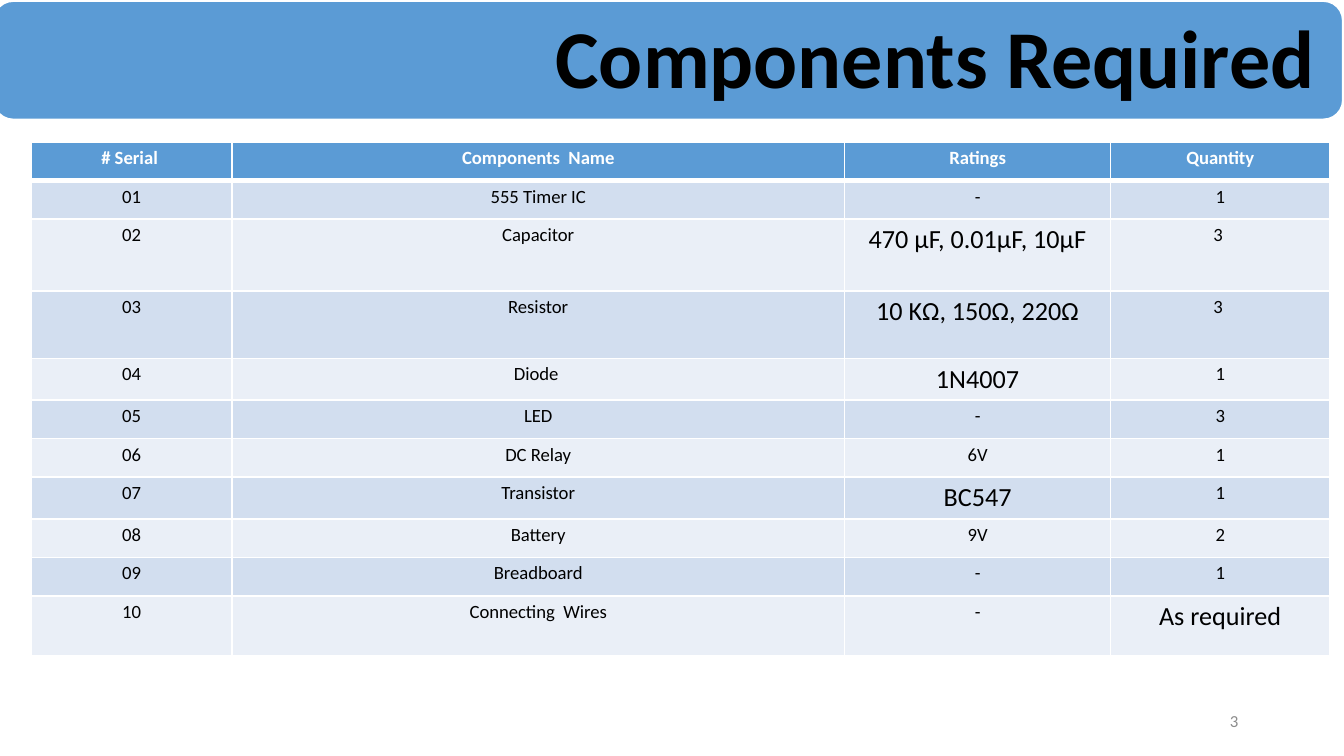
from lxml import etree
from pptx import Presentation
from pptx import util as u
from pptx.dml.color import RGBColor
from pptx.enum import shapes, text
from pptx.oxml import ns

BLUE = RGBColor(0x5B, 0x9B, 0xD5)
BAND_DARK = RGBColor(0xD2, 0xDE, 0xEF)
BAND_LIGHT = RGBColor(0xEA, 0xEF, 0xF7)
WHITE = RGBColor(0xFF, 0xFF, 0xFF)
BLACK = RGBColor(0, 0, 0)
GREY = RGBColor(0x8C, 0x8C, 0x8C)

HEADINGS = ("# Serial ", "Components  Name", "Ratings", "Quantity")
COMPONENTS = (
    ("555 Timer IC", "-", "1"),
    ("Capacitor", "470 µF, 0.01µF, 10µF", "3 "),
    ("Resistor", "10 KΩ, 150Ω, 220Ω", "3 "),
    ("Diode ", "1N4007", "1"),
    ("LED", "-", "3"),
    ("DC Relay", "6V", "1"),
    ("Transistor", "BC547", "1"),
    ("Battery", "9V", "2"),
    ("Breadboard", "-", "1"),
    ("Connecting  Wires", "-", "As required"),
)
COLUMN_WIDTHS = (107.28, 328.32, 142.56, 117.36)
ROW_HEIGHT = 20.6
TALL_ROWS = {2: 38.3, 3: 36.2, 4: 22.5, 7: 22.5, 10: 32.1}
LARGE_ENTRIES = {"470 µF, 0.01µF, 10µF", "10 KΩ, 150Ω, 220Ω", "1N4007", "BC547", "As required"}


class SlideBuilder:
    font = "Calibri"

    def __init__(self, slide):
        self.slide = slide

    def add_words(self, frame, words, size, color, align, bold=False):
        paragraph = frame.paragraphs[0]
        paragraph.alignment = align
        run = paragraph.add_run()
        run.text = words
        run.font.name = self.font
        run.font.size = u.Pt(size)
        run.font.bold = bold
        run.font.color.rgb = color

    def label(self, box, words, size, color, anchor, bold=False):
        frame = self.slide.shapes.add_textbox(*map(u.Pt, box)).text_frame
        frame.word_wrap = True
        frame.vertical_anchor = anchor
        self.add_words(frame, words, size, color, text.PP_ALIGN.RIGHT, bold)

    def banner(self, box):
        banner = self.slide.shapes.add_shape(
            shapes.MSO_SHAPE.ROUNDED_RECTANGLE, *map(u.Pt, box))
        banner.shadow.inherit = False
        banner.fill.solid()
        banner.fill.fore_color.rgb = BLUE
        banner.line.color.rgb = WHITE
        banner.line.width = u.Pt(1.5)

    def borders(self, cell, top, bottom):
        properties = cell._tc.get_or_add_tcPr()
        edges = (("L", 1), ("R", 1), ("T", top), ("B", bottom))
        for position, (side, width) in enumerate(edges):
            edge = etree.Element(ns.qn(f"a:ln{side}"), w=str(u.Pt(width)))
            fill = etree.SubElement(edge, ns.qn("a:solidFill"))
            etree.SubElement(fill, ns.qn("a:srgbClr"), val=str(WHITE))
            properties.insert(position, edge)

    def cell(self, cell, words, row):
        header = row == 0
        cell.margin_left = cell.margin_right = u.Pt(5.1)
        cell.margin_top = cell.margin_bottom = u.Pt(2.6)
        cell.fill.solid()
        cell.fill.fore_color.rgb = BLUE if header else BAND_DARK if row % 2 else BAND_LIGHT
        self.borders(cell, 3 if row == 1 else 1, 3 if header else 1)
        self.add_words(cell.text_frame, words, 14 if words in LARGE_ENTRIES else 10,
                       WHITE if header else BLACK, text.PP_ALIGN.CENTER, header)

    def table(self, left, top, rows):
        heights = [TALL_ROWS.get(row, ROW_HEIGHT) for row in range(len(rows))]
        table = self.slide.shapes.add_table(
            len(rows), len(COLUMN_WIDTHS), u.Pt(left), u.Pt(top),
            u.Pt(sum(COLUMN_WIDTHS)), u.Pt(sum(heights))).table
        for column, width in zip(table.columns, COLUMN_WIDTHS):
            column.width = u.Pt(width)
        for row, (entries, height) in enumerate(zip(rows, heights)):
            table.rows[row].height = u.Pt(height)
            for column, words in enumerate(entries):
                self.cell(table.cell(row, column), words, row)


def main():
    deck = Presentation()
    deck.slide_width, deck.slide_height = u.Pt(720), u.Pt(405)
    builder = SlideBuilder(deck.slides.add_slide(deck.slide_layouts[6]))
    builder.label((508.5, 375.4, 162, 21.6), "3", 9, GREY, text.MSO_ANCHOR.MIDDLE)
    numbered = [(f"{serial:02}", *component)
                for serial, component in enumerate(COMPONENTS, 1)]
    builder.table(16.9, 76.3, [HEADINGS, *numbered])
    builder.banner((-3.6, 0.3, 723.3, 64))
    builder.label((64, 0, 648, 90), "Components Required", 44, BLACK,
                  text.MSO_ANCHOR.TOP, bold=True)
    deck.save("out.pptx")


if __name__ == "__main__":
    main()
